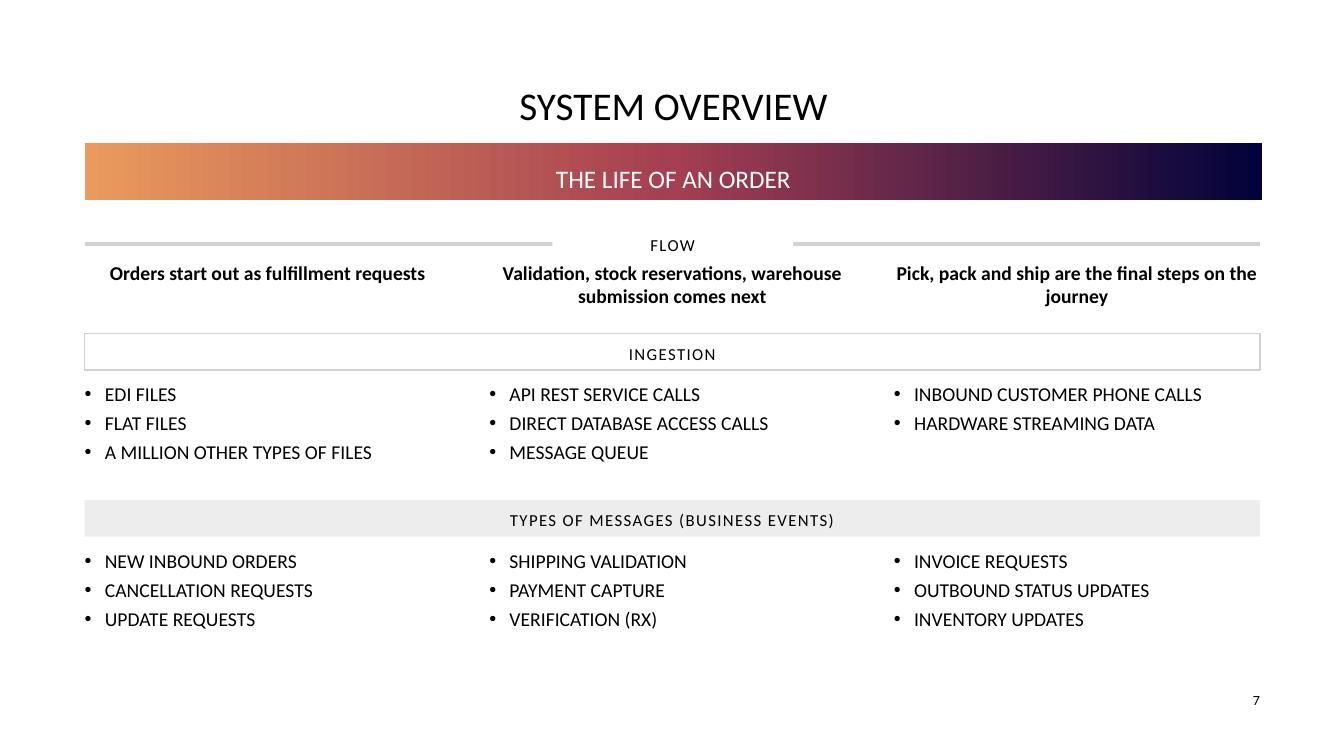
from copy import deepcopy

from lxml import etree
from pptx import Presentation
from pptx.dml.color import RGBColor
from pptx.enum.shapes import MSO_CONNECTOR, MSO_SHAPE
from pptx.enum.text import MSO_ANCHOR, PP_ALIGN
from pptx.oxml.ns import qn
from pptx.util import Pt

RECTANGLE, STRAIGHT = MSO_SHAPE.RECTANGLE, MSO_CONNECTOR.STRAIGHT
TOP, MIDDLE = MSO_ANCHOR.TOP, MSO_ANCHOR.MIDDLE
LEFT, CENTER, RIGHT = PP_ALIGN.LEFT, PP_ALIGN.CENTER, PP_ALIGN.RIGHT

BLACK = RGBColor(0x00, 0x00, 0x00)
WHITE = RGBColor(0xFF, 0xFF, 0xFF)
GREY = RGBColor(0xD2, 0xD2, 0xD2)
ORANGE = RGBColor(0xEA, 0x9A, 0x5C)
CRIMSON = RGBColor(0xA5, 0x3F, 0x52)
NAVY = RGBColor(0x01, 0x02, 0x3B)

MARGIN, WIDTH = 60.5, 839.5
COLUMN_WIDTH = 261.5
COLUMN_STEP = (WIDTH - COLUMN_WIDTH) / 2
NO_INSETS = (0, 0, 0, 0)
DEFAULT_INSETS = (7.2, 3.6, 7.2, 3.6)
HEADING_INSETS = (10.8, 1.5, 10.8, 0)

FLOW_STEPS = [
    "Orders start out as fulfillment requests",
    "Validation, stock reservations, warehouse submission comes next",
    "Pick, pack and ship are the final steps on the journey",
]
INGESTION = [
    ["EDI FILES", "FLAT FILES", "A MILLION OTHER TYPES OF FILES"],
    ["API REST SERVICE CALLS", "DIRECT DATABASE ACCESS CALLS", "MESSAGE QUEUE"],
    ["INBOUND CUSTOMER PHONE CALLS", "HARDWARE STREAMING DATA"],
]
MESSAGE_TYPES = [
    ["NEW INBOUND ORDERS", "CANCELLATION REQUESTS", "UPDATE REQUESTS"],
    ["SHIPPING VALIDATION", "PAYMENT CAPTURE", "VERIFICATION (RX)"],
    ["INVOICE REQUESTS", "OUTBOUND STATUS UPDATES", "INVENTORY UPDATES"],
]


class OverviewSlide:
    """Draws the parts of the overview slide in one shared style."""

    def __init__(self, slide, font_name):
        self.slide = slide
        self.font_name = font_name

    def fill_text(self, shape, lines, size, color=BLACK, bold=False, align=CENTER,
                  anchor=TOP, insets=NO_INSETS, tracking=0, bullets=False, **spacing):
        frame = shape.text_frame
        sides = ("margin_left", "margin_top", "margin_right", "margin_bottom")
        formats = dict(zip(sides, map(Pt, insets)))
        formats.update(word_wrap=True, vertical_anchor=anchor)
        for name, value in formats.items():
            setattr(frame, name, value)
        for index, line in enumerate(lines):
            paragraph = frame.add_paragraph() if index else frame.paragraphs[0]
            run = paragraph.add_run()
            run.text = line
            for name, value in {"alignment": align, **spacing}.items():
                setattr(paragraph, name, value)
            if bullets:
                self.add_bullet(paragraph)
            font_formats = {"name": self.font_name, "size": Pt(size), "bold": bold}
            for name, value in font_formats.items():
                setattr(run.font, name, value)
            run.font.color.rgb = color
            if tracking:
                run.font._element.set("spc", str(tracking * 100))

    def add_bullet(self, paragraph):
        properties = paragraph._p.get_or_add_pPr()
        properties.set("marL", str(Pt(14.4)))
        properties.set("indent", str(Pt(-14.4)))
        etree.SubElement(properties, qn("a:buFont")).set("typeface", "Arial")
        etree.SubElement(properties, qn("a:buChar")).set("char", "•")

    def text(self, left, top, width, height, lines, size, **formats):
        box = self.slide.shapes.add_textbox(Pt(left), Pt(top), Pt(width), Pt(height))
        self.fill_text(box, lines, size, **formats)

    def rectangle(self, left, top, width, height, label, size, fill=None,
                  alpha=None, outline=None, **formats):
        box = self.slide.shapes.add_shape(
            RECTANGLE, Pt(left), Pt(top), Pt(width), Pt(height))
        box.shadow.inherit = False
        if fill is None:
            box.fill.background()
        else:
            box.fill.solid()
            box.fill.fore_color.rgb = fill
        if alpha is not None:
            tint = box._element.spPr.find(qn("a:solidFill"))[0]
            etree.SubElement(tint, qn("a:alpha")).set("val", str(alpha * 1000))
        if outline is None:
            box.line.fill.background()
        else:
            box.line.color.rgb = outline
            box.line.width = Pt(1)
        self.fill_text(box, [label], size, **formats)
        return box

    def gradient_band(self, top, height, label, colors):
        band = self.rectangle(MARGIN, top, WIDTH + 1.5, height, label, 18, color=WHITE,
                              insets=DEFAULT_INSETS, line_spacing=1.5)
        band.fill.gradient()
        band.fill.gradient_angle = 0
        stop_list = band._element.spPr.find(qn("a:gradFill")).find(qn("a:gsLst"))
        stop_list.append(deepcopy(stop_list[0]))
        for index, (stop, color) in enumerate(zip(band.fill.gradient_stops, colors)):
            stop.position = index / (len(colors) - 1)
            stop.color.rgb = color

    def rule(self, y):
        line = self.slide.shapes.add_connector(
            STRAIGHT, Pt(MARGIN), Pt(y), Pt(MARGIN + WIDTH), Pt(y))
        line.line.color.rgb = GREY
        line.line.width = Pt(2.25)
        etree.SubElement(line._element.spPr, qn("a:effectLst"))

    def columns(self, top, height, columns, **formats):
        for index, lines in enumerate(columns):
            self.text(MARGIN + index * COLUMN_STEP, top, COLUMN_WIDTH, height,
                      lines, 14, **formats)

    def section(self, top, heading, columns, **box_formats):
        self.rectangle(MARGIN, top, WIDTH, 26, heading, 12, anchor=MIDDLE, tracking=1,
                       insets=HEADING_INSETS, line_spacing=1.05, **box_formats)
        self.columns(top + 34.5, 59, columns, align=LEFT, bullets=True,
                     space_after=Pt(4))


def main():
    presentation = Presentation()
    presentation.slide_width, presentation.slide_height = Pt(960), Pt(540)
    blank = presentation.slide_layouts[6]
    overview = OverviewSlide(presentation.slides.add_slide(blank), "Calibri")

    overview.text(MARGIN, 54, WIDTH + 1.5, 42, ["SYSTEM OVERVIEW"], 28,
                  anchor=MIDDLE, insets=DEFAULT_INSETS)
    overview.gradient_band(102, 41, "THE LIFE OF AN ORDER", [ORANGE, CRIMSON, NAVY])

    overview.rule(174.25)
    overview.rectangle(394.5, 163.5, 172, 23, "FLOW", 12, fill=WHITE,
                       anchor=MIDDLE, tracking=1)
    overview.columns(186, 38, [[step] for step in FLOW_STEPS], bold=True)

    overview.section(238.25, "INGESTION", INGESTION, outline=GREY)
    overview.section(357.25, "TYPES OF MESSAGES (BUSINESS EVENTS)", MESSAGE_TYPES,
                     fill=GREY, alpha=40)

    overview.text(879, 493, 21, 14, ["7"], 10, align=RIGHT, anchor=MIDDLE)
    presentation.save("out.pptx")


if __name__ == "__main__":
    main()
